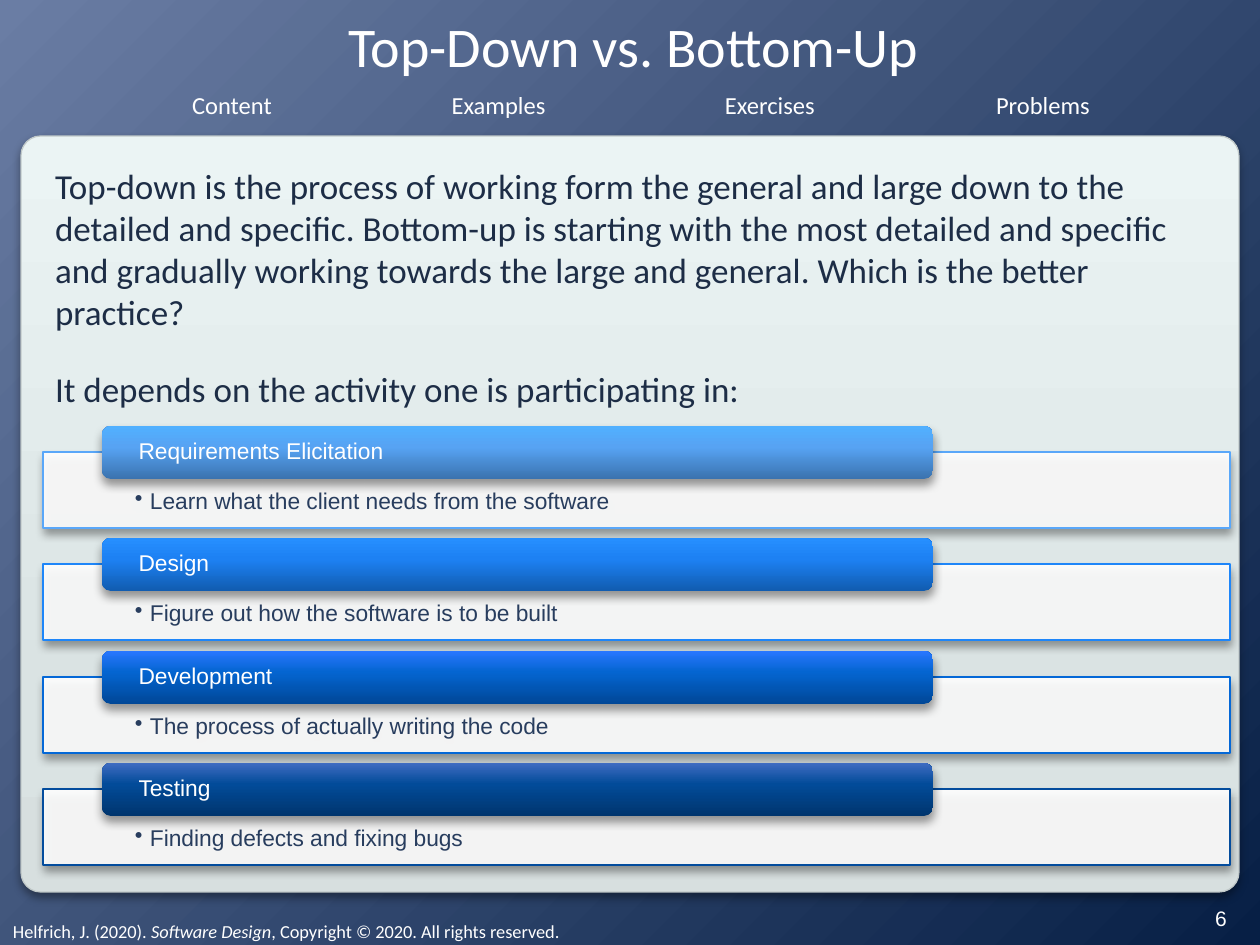
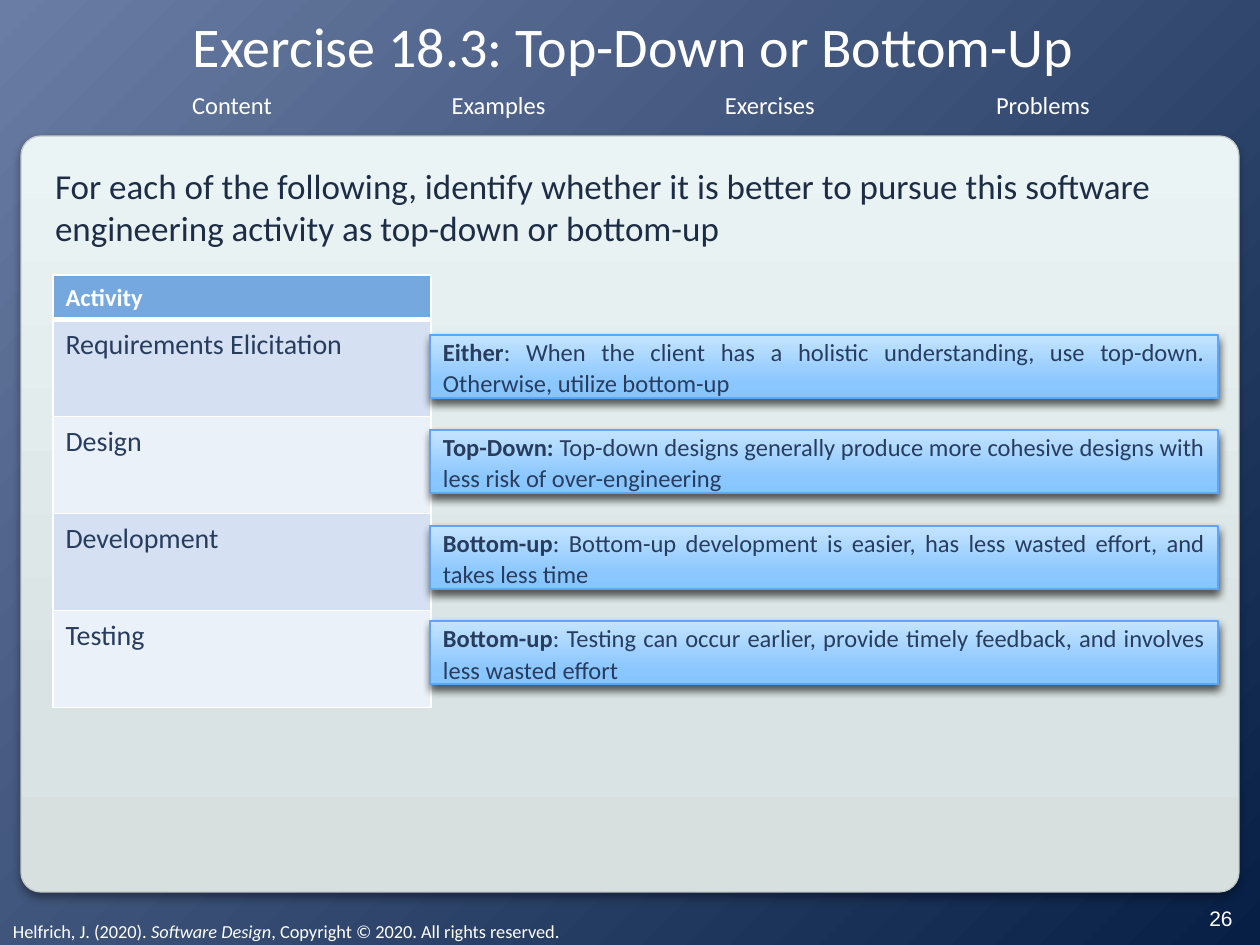
"""Build two slides on top-down and bottom-up work."""
from lxml import etree
from pptx import Presentation, util as u
from pptx.dml.color import RGBColor
from pptx.enum import shapes, text
from pptx.oxml import ns

WHITE = RGBColor(0xFF, 0xFF, 0xFF)
INK = RGBColor(0x1D, 0x2D, 0x46)
NAVY = RGBColor(0x28, 0x3D, 0x5E)
NIGHT = RGBColor(0x07, 0x1F, 0x45)
HAZE = RGBColor(0x6A, 0x7D, 0xA4)
EDGE = RGBColor(0xC1, 0xC9, 0xC9)
SKY = RGBColor(0x5B, 0xA6, 0xFA)
HEAD = RGBColor(0x76, 0xA8, 0xE0)
ODD = RGBColor(0xD5, 0xE1, 0xF3)
EVEN = RGBColor(0xEB, 0xF1, 0xF9)
DUSK = [(0, HAZE), (100, NIGHT)]
PALE = [(0, RGBColor(0xD7, 0xDF, 0xDF)), (25, RGBColor(0xDA, 0xE3, 0xE3)),
        (100, RGBColor(0xEB, 0xF4, 0xF4))]
BLUE = [(0, RGBColor(0x87, 0xC5, 0xFF)), (25, RGBColor(0x8B, 0xC7, 0xFF)),
        (100, RGBColor(0xC4, 0xE4, 0xFF))]
RECT = shapes.MSO_SHAPE.RECTANGLE
ROUND = shapes.MSO_SHAPE.ROUNDED_RECTANGLE
LEFT, MID, JUST = text.PP_ALIGN.LEFT, text.PP_ALIGN.CENTER, text.PP_ALIGN.JUSTIFY
TOP, CENTRE = text.MSO_ANCHOR.TOP, text.MSO_ANCHOR.MIDDLE
MENU = [("Content", 179, 106), ("Examples", 438, 121),
        ("Exercises", 712, 116), ("Problems", 983, 120)]
STEPS = [
    ("Requirements Elicitation", "Learn what the client needs from the software",
     "59A7F9", ("3B73AF", "57A3F3", "51B0FF")),
    ("Design", "Figure out how the software is to be built",
     "1E86F9", ("115CB0", "1D81F3", "268FFF")),
    ("Development", "The process of actually writing the code",
     "0468D7", ("004797", "0465D1", "2977FF")),
    ("Testing", "Finding defects and fixing bugs",
     "034C9D", ("00356E", "024B99", "3F6CC2")),
]
NOTES = [
    ("Either", ": When the client has a holistic understanding, use top-down. "
     "Otherwise, utilize bottom-up"),
    ("Top-Down: ", "Top-down designs generally produce more cohesive designs "
     "with less risk of over-engineering"),
    ("Bottom-up", ": Bottom-up development is easier, has less wasted effort, "
     "and takes less time"),
    ("Bottom-up", ": Testing can occur earlier, provide timely feedback, "
     "and involves less wasted effort"),
]


def px(n):
    """Turn pixels into EMU."""
    return u.Emu(round(n * 914400 / 126))


def node(up, tag, **attrs):
    """Add a drawing element with attributes."""
    return etree.SubElement(up, ns.qn("a:" + tag), {k: str(v) for k, v in attrs.items()})


class Deck:
    """Hold the style and the current slide."""

    def __init__(self):
        self.prs = Presentation()
        self.prs.slide_width, self.prs.slide_height = px(1260), px(945)

    def start(self, title, paras, high, num):
        """Open a slide with its frame, title, body and number."""
        self.slide = self.prs.slides.add_slide(self.prs.slide_layouts[1])
        self.fade(self.slide.element, self.slide.background.fill, DUSK, 315)
        panel = self.box(ROUND, (21, 136, 1218, 756), PALE, EDGE)
        panel.adjustments[0] = 0.026
        self.label((0, 914, 1134, 36), [("Helfrich, J. (2020). ", ""), ("Software Design", "i"),
                   (", Copyright © 2020. All rights reserved.", "")], 10.5)
        for word, x, wide in MENU:
            self.label((x, 84, wide, 43), word, 14, align=MID, ins=(0, 6))
        self.holder(0, (28, 14, 1211, 63), [title], 32, WHITE, MID, CENTRE, (0, 0))
        self.holder(1, (42, 158, 1176, high), paras, 20, INK, LEFT, TOP, (13, 6))
        self.label((1182, 892, 78, 53), num, 12, align=MID, anchor=CENTRE, face="Arial")

    def fade(self, elem, fill, stops, angle=90):
        """Give a fill a linear gradient."""
        fill.gradient()
        fill.gradient_angle = angle
        ramp = elem.find(".//" + ns.qn("a:gsLst"))
        for old in list(ramp):
            ramp.remove(old)
        for pos, color in stops:
            node(node(ramp, "gs", pos=pos * 1000), "srgbClr", val=color)

    def box(self, kind, area, fill, line=None):
        """Draw a shadowed shape with a gradient or misty white fill."""
        shape = self.slide.shapes.add_shape(kind, *map(px, area))
        if fill == WHITE:
            shape.fill.solid()
            shape.fill.fore_color.rgb = WHITE
            node(shape.element.spPr.find(".//" + ns.qn("a:srgbClr")), "alpha", val=90000)
        else:
            self.fade(shape.element, shape.fill, fill)
        if line is None:
            shape.line.fill.background()
        else:
            shape.line.color.rgb = line
            shape.line.width = u.Pt(0.75)
        shape.shadow.inherit = False
        glow = node(shape.element.spPr.find(ns.qn("a:effectLst")), "outerShdw",
                    blurRad=66000, dist=38100, dir=5400000, algn="ctr", rotWithShape=0)
        node(node(glow, "srgbClr", val="000000"), "alpha", val=40000)
        return shape

    def frame(self, shape, anchor, ins):
        """Set wrapping, anchor and insets, and return the text frame."""
        frame = shape.text_frame
        frame.word_wrap, frame.auto_size = True, text.MSO_AUTO_SIZE.NONE
        frame.vertical_anchor = anchor
        frame.margin_left = frame.margin_right = px(ins[0])
        frame.margin_top = frame.margin_bottom = px(ins[1])
        return frame

    def put(self, para, words, size, color, align=LEFT, face="Calibri",
            lead=1.0, bold=None, dot=False):
        """Fill a paragraph with plain words or marked runs."""
        if dot:
            props = para._p.get_or_add_pPr()
            props.set("marL", str(px(15)))
            props.set("indent", str(-px(15)))
            node(props, "buChar", char="•")
        for part, mark in [(words, "")] if isinstance(words, str) else words:
            run = para.add_run()
            run.text = part
            if mark == "b":
                run.font.bold = True
            if mark == "i":
                run.font.italic = True
        para.alignment, para.line_spacing = align, lead
        font = para.font
        font.size, font.name, font.bold = u.Pt(size), face, bold
        font.color.rgb = color

    def label(self, area, words, size, align=LEFT, anchor=TOP, ins=(13, 6), face="Calibri"):
        """Place white text."""
        shape = self.slide.shapes.add_textbox(*map(px, area))
        frame = self.frame(shape, anchor, ins)
        self.put(frame.paragraphs[0], words, size, WHITE, align, face)

    def holder(self, idx, area, paras, size, color, align, anchor, ins):
        """Move and fill a placeholder, in front of the frame."""
        shape = self.slide.placeholders[idx]
        shape.left, shape.top, shape.width, shape.height = map(px, area)
        self.slide.shapes.element.append(shape.element)
        frame = self.frame(shape, anchor, ins)
        for i, words in enumerate(paras):
            para = frame.add_paragraph() if i else frame.paragraphs[0]
            props = para._p.get_or_add_pPr()
            props.set("marL", "0")
            props.set("indent", "0")
            node(props, "buNone")
            para.space_before = u.Pt(20 if i else 0)
            self.put(para, words, size, color, align)

    def step(self, i, name, gist, line, tones):
        """Draw one activity: a white card under a coloured tab."""
        y = 426 + round(112.3 * i)
        card = self.box(RECT, (43, y + 26, 1187, 76), WHITE, RGBColor.from_string(line))
        frame = self.frame(card, TOP, (92, 13))
        frame.margin_top = px(38)
        self.put(frame.paragraphs[0], gist, 13, NAVY, face="Arial", lead=0.9, dot=True)
        stops = zip((0, 60, 100), map(RGBColor.from_string, tones))
        tab = self.box(ROUND, (102, y, 831, 53), list(stops))
        frame = self.frame(tab, CENTRE, (34, 3))
        self.put(frame.paragraphs[0], name, 13, WHITE, face="Arial", lead=0.9)

    def note(self, i, key, rest):
        """Draw one answer over a pale backing."""
        area = (430, 335 + 191 * i // 2, 788, 63)
        self.box(RECT, area, PALE, EDGE)
        frame = self.frame(self.box(RECT, area, BLUE, SKY), CENTRE, (13, 0))
        self.put(frame.paragraphs[0], [(key, "b"), (rest, "")], 14, NAVY, JUST, lead=1.07)

    def table(self, rows):
        """Draw a one-column table whose first row is the heading."""
        grid = self.slide.shapes.add_table(len(rows), 1, *map(px, (53, 275, 378, 427))).table
        grid.horz_banding = False
        for i, words in enumerate(rows):
            grid.rows[i].height = px(97 if i else 39)
            cell = grid.cell(i, 0)
            props = cell._tc.get_or_add_tcPr()
            for side in "LRTB":
                thick = (i, side) in ((0, "B"), (1, "T"))
                rule = node(props, "ln" + side, w=u.Pt(3 if thick else 1))
                node(node(rule, "solidFill"), "srgbClr", val=WHITE)
            cell.fill.solid()
            cell.fill.fore_color.rgb = (ODD if i % 2 else EVEN) if i else HEAD
            self.put(cell.text_frame.paragraphs[0], words, 16 if i else 14,
                     NAVY if i else WHITE, lead=1.07, bold=not i)


def main():
    """Build and save the deck."""
    deck = Deck()
    deck.start("Top-Down vs. Bottom-Up", [
        "Top-down is the process of working form the general and large down to the "
        "detailed and specific. Bottom-up is starting with the most detailed and specific "
        "and gradually working towards the large and general. Which is the better practice?",
        "It depends on the activity one is participating in:"], 273, "6")
    for i, step in enumerate(STEPS):
        deck.step(i, *step)
    deck.start("Exercise 18.3: Top-Down or Bottom-Up", [
        "For each of the following, identify whether it is better to pursue this software "
        "engineering activity as top-down or bottom-up"], 105, "26")
    deck.table(["Activity"] + [step[0] for step in STEPS])
    for i, note in enumerate(NOTES):
        deck.note(i, *note)
    deck.prs.save("out.pptx")


if __name__ == "__main__":
    main()
